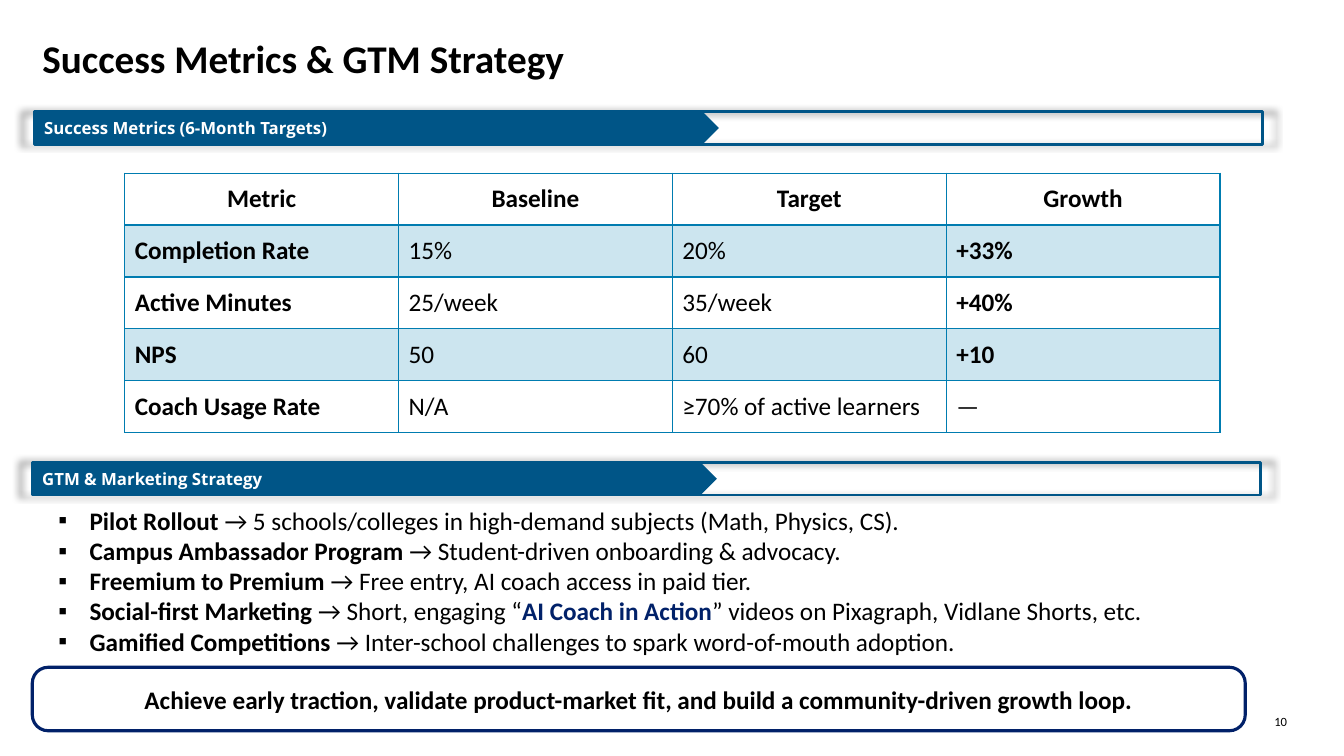
from pptx import Presentation, util as u
from pptx.dml import color
from pptx.enum import shapes, text
from pptx.oxml import parse_xml, ns

NAVY, BLUE, TEAL, PALE = "012169", "005587", "007CB0", "CCE5EF"
BLACK, WHITE = "000000", "FFFFFF"
KIND = shapes.MSO_SHAPE
ALIGN = text.PP_ALIGN
MID = text.MSO_ANCHOR.MIDDLE
BODY = dict(name="Calibri", size=u.Pt(18), bold=False)
BOLD = dict(BODY, bold=True)

ROWS = [
    ("Metric", "Baseline", "Target", "Growth"),
    ("Completion Rate", "15%", "20%", "+33%"),
    ("Active Minutes", "25/week", "35/week", "+40%"),
    ("NPS", "50", "60", "+10"),
    ("Coach Usage Rate", "N/A", "≥70% of active learners", "—"),
]
PLANS = [
    [("Pilot Rollout", BOLD, BLACK),
     (" → 5 schools/colleges in high-demand subjects (Math, Physics, CS).", BODY, BLACK)],
    [("Campus Ambassador Program", BOLD, BLACK),
     (" → Student-driven onboarding & advocacy.", BODY, BLACK)],
    [("Freemium to Premium", BOLD, BLACK),
     (" → Free entry, AI coach access in paid tier.", BODY, BLACK)],
    [("Social-first Marketing", BOLD, BLACK),
     (" → Short, engaging “", BODY, BLACK),
     ("AI Coach in Action", BOLD, NAVY),
     ("” videos on Pixagraph, Vidlane Shorts, etc.", BODY, BLACK)],
    [("Gamified Competitions", BOLD, BLACK),
     (" → Inter-school challenges to spark word-of-mouth adoption.", BODY, BLACK)],
]

deck = Presentation()
deck.slide_width, deck.slide_height = u.Inches(13.33), u.Inches(7.5)


def share(left, top, width, height):
    wide, high = deck.slide_width / 100, deck.slide_height / 100
    return [round(n) for n in (left * wide, top * high, width * wide, height * high)]


def tint(hue):
    return color.RGBColor.from_string(hue)


def apply(item, form):
    for key, value in form.items():
        setattr(item, key, value)


def write(para, words, form, hue=BLACK):
    run = para.add_run()
    run.text = words
    apply(run.font, form)
    run.font.color.rgb = tint(hue)


def node(tag, inner="", **attrs):
    pairs = " ".join(f'{key}="{value}"' for key, value in attrs.items())
    return parse_xml(f'<a:{tag} {ns.nsdecls("a")} {pairs}>{inner}</a:{tag}>')


def paint(shape, fill, line=None, width=0):
    shape.shadow.inherit = False
    if fill:
        shape.fill.solid()
        shape.fill.fore_color.rgb = tint(fill)
    else:
        shape.fill.background()
    if line:
        shape.line.color.rgb = tint(line)
        shape.line.width = u.Pt(width)
    else:
        shape.line.fill.background()


def heading(slide, box):
    title = slide.shapes.title
    apply(title, dict(zip(("left", "top", "width", "height"), box)))
    frame = title.text_frame
    apply(frame, dict(vertical_anchor=text.MSO_ANCHOR.TOP, word_wrap=True,
                      auto_size=text.MSO_AUTO_SIZE.NONE))
    para = frame.paragraphs[0]
    apply(para, dict(alignment=ALIGN.JUSTIFY, line_spacing=u.Pt(19)))
    write(para, "Success Metrics & GTM Strategy", dict(BOLD, size=u.Pt(28)))


def banner(slide, box, words):
    left, top, width, height = box
    group = slide.shapes.add_group_shape()
    frame = group.shapes.add_shape(KIND.RECTANGLE, *box)
    paint(frame, None, BLUE, 2)
    glow = node("outerShdw", '<a:srgbClr val="000000"><a:alpha val="40000"/></a:srgbClr>',
                blurRad=u.Pt(5), sx=102000, sy=102000, algn="ctr", rotWithShape=0)
    frame._element.spPr.find(ns.qn("a:effectLst")).append(glow)
    plate = group.shapes.add_shape(KIND.PENTAGON, left, top, share(0, 0, 50.94, 0)[2], height)
    paint(plate, BLUE)
    plate.text_frame.vertical_anchor = MID
    para = plate.text_frame.paragraphs[0]
    para.alignment = ALIGN.LEFT
    write(para, words, dict(name="Open Sans", size=u.Pt(12), bold=True), WHITE)


def border(cell, head):
    props = cell._tc.get_or_add_tcPr()
    ink = f'<a:solidFill><a:srgbClr val="{TEAL}"/></a:solidFill>'
    for side in "LRTB":
        width = 2 if head and side == "B" else 1
        props.append(node("ln" + side, ink, w=u.Pt(width)))


def metrics(slide, box):
    table = slide.shapes.add_table(len(ROWS), len(ROWS[0]), *box).table
    apply(table, dict(first_row=False, horz_banding=False))
    for col in table.columns:
        col.width = box[2] // len(ROWS[0])
    for row, line in enumerate(ROWS):
        table.rows[row].height = box[3] // len(ROWS)
        for col, words in enumerate(line):
            cell = table.cell(row, col)
            cell.vertical_anchor = MID
            border(cell, row == 0)
            if row % 2:
                cell.fill.solid()
                cell.fill.fore_color.rgb = tint(PALE)
            else:
                cell.fill.background()
            para = cell.text_frame.paragraphs[0]
            para.alignment = ALIGN.LEFT if row else ALIGN.CENTER
            strong = row == 0 or col == 0 or words.startswith("+")
            write(para, words, BOLD if strong else BODY)


def plans(slide, box):
    frame = slide.shapes.add_textbox(*box).text_frame
    frame.word_wrap = True
    for row, parts in enumerate(PLANS):
        para = frame.add_paragraph() if row else frame.paragraphs[0]
        props = para._p.get_or_add_pPr()
        props.set("marL", str(u.Inches(0.31)))
        props.set("indent", str(-u.Inches(0.31)))
        props.append(node("buFont", typeface="Wingdings"))
        props.append(node("buChar", char="▪"))
        props[0].set("typeface", "Arial")
        for part in parts:
            write(para, *part)


def closing(slide, box):
    card = slide.shapes.add_shape(KIND.ROUNDED_RECTANGLE, *box)
    card.adjustments[0] = 0.25
    paint(card, WHITE, NAVY, 2.25)
    edge = u.Inches(0.1)
    apply(card.text_frame, dict(margin_left=edge, margin_right=edge, margin_top=edge,
                                margin_bottom=edge, vertical_anchor=MID, word_wrap=True))
    para = card.text_frame.paragraphs[0]
    apply(para, dict(alignment=ALIGN.CENTER, line_spacing=1.06))
    write(para, "Achieve early traction, validate product-market fit, "
                "and build a community-driven growth loop.", BOLD)


def folio(slide, box):
    frame = slide.shapes.add_textbox(*box).text_frame
    apply(frame, dict(margin_left=0, margin_right=0, margin_top=0, margin_bottom=0,
                      word_wrap=False))
    write(frame.paragraphs[0], "10", dict(BODY, size=u.Pt(9)))


def main():
    slide = deck.slides.add_slide(deck.slide_layouts[5])
    heading(slide, share(2.4, 6.53, 87.77, 5.33))
    banner(slide, share(2.55, 14.8, 91.37, 4.27), "Success Metrics (6-Month Targets)")
    metrics(slide, share(9.28, 22.93, 81.5, 34.27))
    banner(slide, share(2.4, 61.2, 91.37, 4.27), "GTM & Marketing Strategy")
    plans(slide, share(3.6, 66.13, 85.3, 21.6))
    closing(slide, share(2.4, 88.27, 90.25, 8.4))
    folio(slide, share(94.82, 94.4, 1.13, 2))
    deck.save("out.pptx")


if __name__ == "__main__":
    main()
